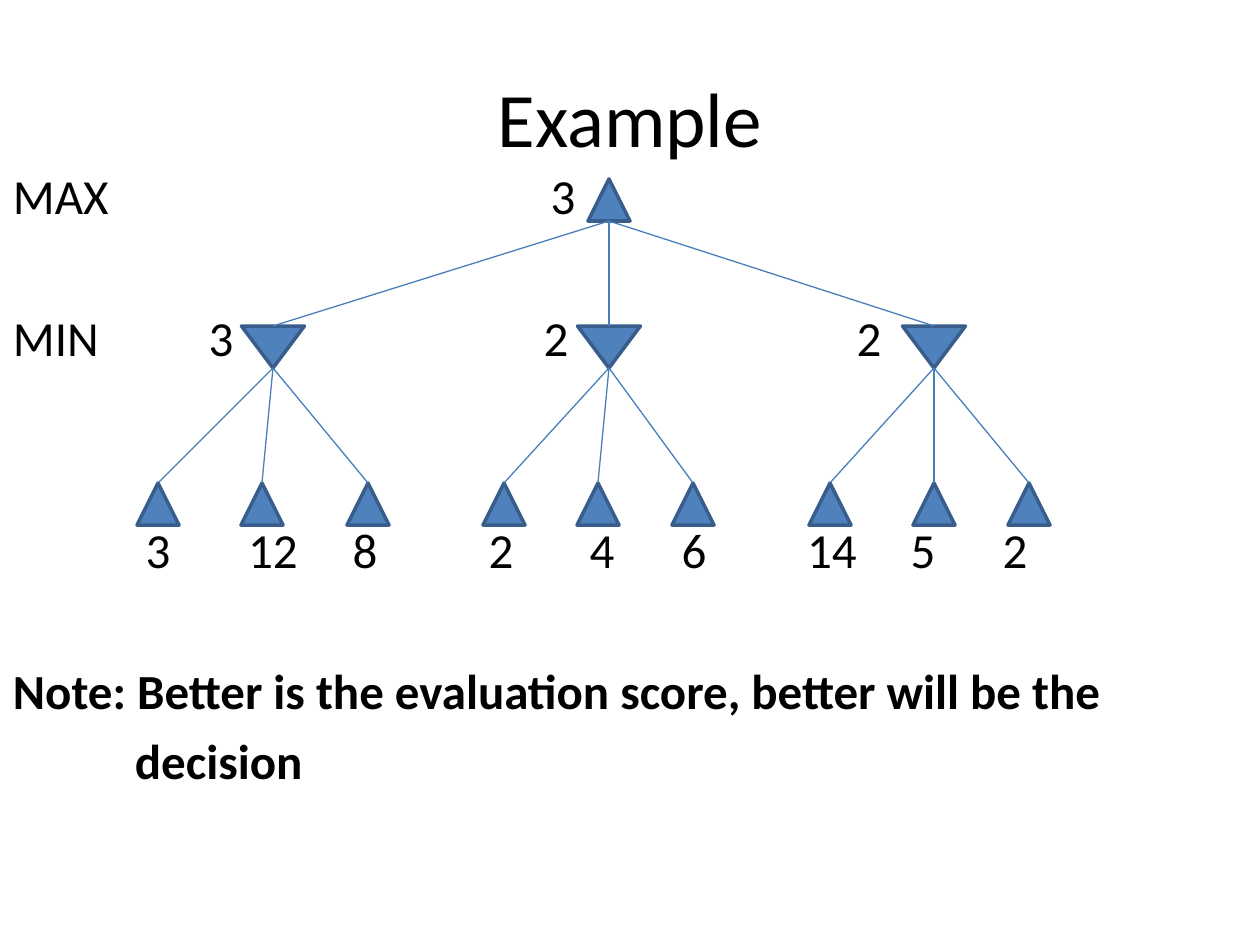
from lxml.etree import SubElement
from pptx import Presentation
from pptx.dml.color import RGBColor
from pptx.enum.shapes import MSO_CONNECTOR, MSO_SHAPE
from pptx.enum.text import MSO_ANCHOR, PP_ALIGN
from pptx.oxml.ns import qn
from pptx.util import Pt

PX = 914400 / 126
FONT = "Calibri"
COLORS = {"text": "000000", "node": "4F81BD", "border": "385D8A", "edge": "4A7EBB"}
TOP, BOTTOM = 0, 2
NODE_HEIGHT = 42

# Label rows: (space before in points, [(text, centre of its tab stop)])
ROWS = [
    (0, "MAX", [("3", 550)]),
    (47, "MIN", [("3", 208), ("2", 543), ("2", 856)]),
    (87.6, "", [("3", 145), ("12", 260), ("8", 352), ("2", 488), ("4", 589),
                ("6", 681), ("14", 819), ("5", 910), ("2", 1002)]),
]
NOTE = [
    (47, 0, "Note: Better is the evaluation score, better will be the"),
    (6.4, 122, "decision"),
]
# Each MIN node's centre with the centres of its leaves, from the tree's left edge
BRANCHES = [
    (137, [22, 126, 232]),
    (473, [368, 462, 557]),
    (798, [694, 798, 893]),
]


def px(length):
    return round(length * PX)


def color(name):
    return RGBColor.from_string(COLORS[name])


def add_span(para, text, size, bold=False):
    span = para.add_run()
    span.text = text
    span.font.name = FONT
    span.font.size = Pt(size)
    span.font.bold = bold
    span.font.color.rgb = color("text")


def place_title(page, left, top, width, height):
    title = page.shapes.title
    title.left, title.top, title.width, title.height = map(px, (left, top, width, height))
    frame = title.text_frame
    frame.vertical_anchor = MSO_ANCHOR.MIDDLE
    para = frame.paragraphs[0]
    para.alignment = PP_ALIGN.CENTER
    add_span(para, "Example", 44)


def add_tab_stops(para, centres):
    stops = SubElement(para._p.get_or_add_pPr(), qn("a:tabLst"))
    for centre in centres:
        SubElement(stops, qn("a:tab"), pos=str(px(centre)), algn="ctr")


def add_body(page, left, top, width, height):
    """Level names, node values and the note, in one text box."""
    box = page.shapes.add_textbox(*map(px, (left, top, width, height)))
    frame = box.text_frame
    frame.word_wrap = True
    frame.margin_left = frame.margin_right = px(13)
    frame.margin_top = px(8)
    para = frame.paragraphs[0]
    for index, (gap, level, values) in enumerate(ROWS):
        if index:
            para = frame.add_paragraph()
            para.space_before = Pt(gap)
        add_tab_stops(para, [centre for _, centre in values])
        add_span(para, "\t".join([level] + [value for value, _ in values]), 28)
    for gap, indent, text in NOTE:
        para = frame.add_paragraph()
        para.space_before = Pt(gap)
        para._p.get_or_add_pPr().set("marL", str(px(indent)))
        add_span(para, text, 28, bold=True)


def add_node(page, kind, centre, top, width):
    node = page.shapes.add_shape(
        kind, px(centre - width / 2), px(top), px(width), px(NODE_HEIGHT))
    node.shadow.inherit = False
    node.fill.solid()
    node.fill.fore_color.rgb = color("node")
    node.line.color.rgb = color("border")
    node.line.width = Pt(2)
    return node


def add_edge(page, parent, child):
    edge = page.shapes.add_connector(MSO_CONNECTOR.STRAIGHT, 0, 0, 0, 0)
    edge.begin_connect(parent, BOTTOM)
    edge.end_connect(child, TOP)
    edge.line.color.rgb = color("edge")
    edge.line.width = Pt(0.75)
    SubElement(edge._element.spPr, qn("a:effectLst"))


def add_tree(page, left, top):
    root = add_node(page, MSO_SHAPE.FLOWCHART_EXTRACT, left + 473, top, 42)
    for min_centre, leaf_centres in BRANCHES:
        min_node = add_node(
            page, MSO_SHAPE.FLOWCHART_MERGE, left + min_centre, top + 147, 63)
        add_edge(page, root, min_node)
        for leaf_centre in leaf_centres:
            leaf = add_node(
                page, MSO_SHAPE.FLOWCHART_EXTRACT, left + leaf_centre, top + 304, 42)
            add_edge(page, min_node, leaf)


def main():
    deck = Presentation()
    deck.slide_width, deck.slide_height = px(1260), px(945)
    page = deck.slides.add_slide(deck.slide_layouts[5])
    place_title(page, 63, 38, 1134, 158)
    add_body(page, 0, 158, 1228, 735)
    add_tree(page, 136, 179)
    deck.save("out.pptx")


if __name__ == "__main__":
    main()
